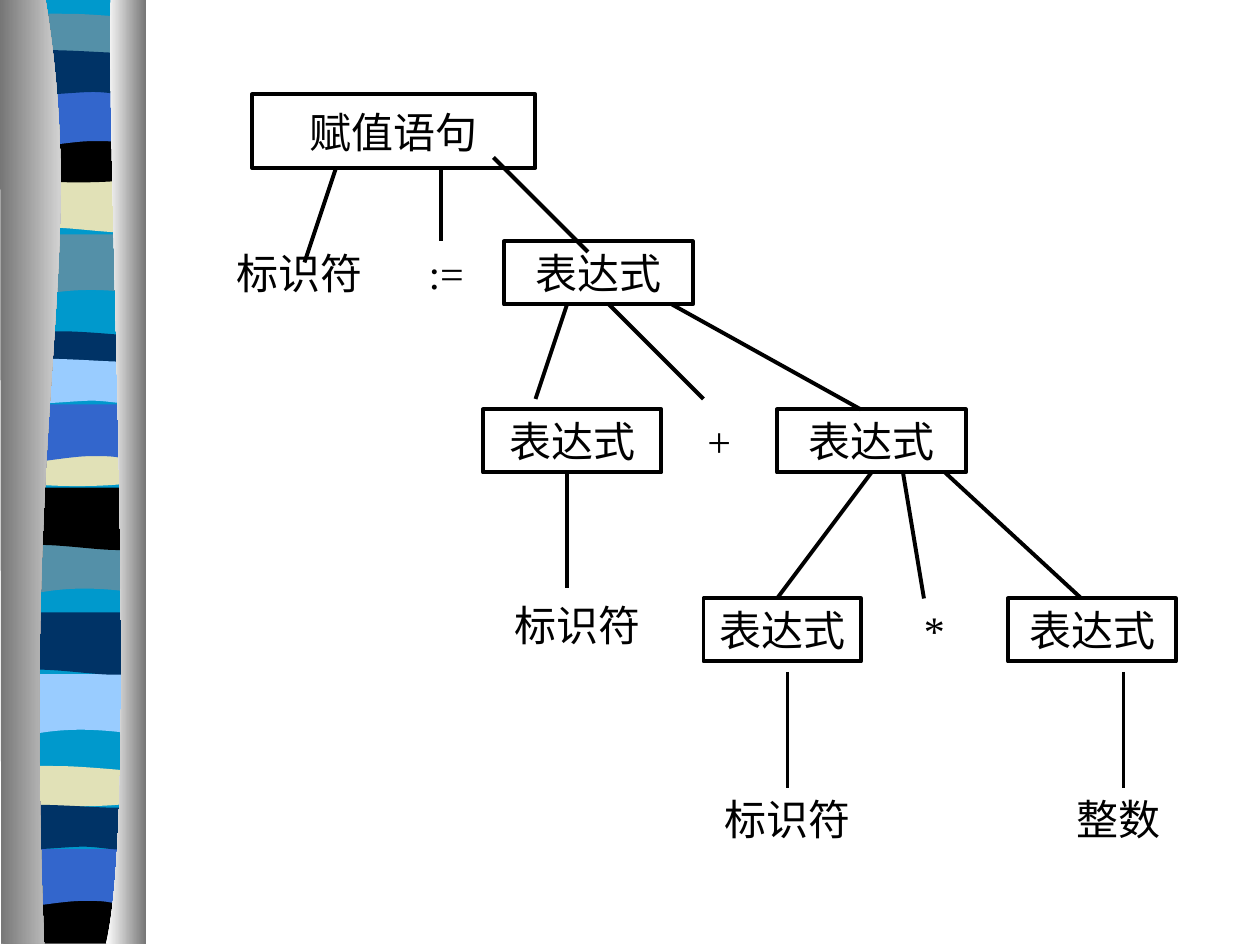
from lxml.etree import SubElement
from pptx import Presentation
from pptx.dml.color import RGBColor
from pptx.enum.shapes import MSO_CONNECTOR, MSO_SHAPE
from pptx.enum.text import MSO_ANCHOR, PP_ALIGN
from pptx.oxml.ns import qn
from pptx.util import Inches, Pt

BLACK = RGBColor(0, 0, 0)
WHITE = RGBColor(255, 255, 255)
GRAY = RGBColor(0x76, 0x76, 0x76)
CYAN = RGBColor(0x00, 0x99, 0xCC)
TEAL = RGBColor(0x54, 0x90, 0xA8)
CREAM = RGBColor(0xE1, 0xE1, 0xB7)
BLUE = RGBColor(0x33, 0x66, 0xCC)
NAVY = RGBColor(0x00, 0x33, 0x66)
SKY = RGBColor(0x99, 0xCC, 0xFF)
FONT = "Times New Roman"
GRID = 12  # tree units to the inch

# Band outlines from their top left corner: 2 numbers a line, 6 a curve
WAVE = [(0.98, 0), (0.98, 0.47), (0.3, 0.38, 0.17, 0.54, 0, 0.47), (0, 0)]
SWAY = [(0.98, 0), (0.98, 0.47), (0.82, 0.55, 0.3, 0.41, 0, 0.47), (0, 0)]
LENS = [(0.98, 0.05), (0.98, 0.3), (0.82, 0.34, 0.16, 0.34, 0, 0.3),
        (0, 0.05), (0.06, 0, 0.21, 0.01, 0.38, 0.01),
        (0.54, 0.01, 0.86, 0.04, 0.98, 0.05)]
SLAB = [(0.98, 0), (0.98, 0.33), (0.82, 0.38, 0.17, 0.38, 0, 0.33),
        (0, 0), (0.61, 0.05, 0.78, 0, 0.98, 0)]
ARCH = [(0.98, 0), (0.98, 0.47), (0.83, 0.41, 0.77, 0.41, 0.61, 0.41),
        (0.44, 0.41, 0.15, 0.47, 0, 0.47), (0, 0)]
CREST = [(0.98, 0.05), (0.98, 0.36), (0.92, 0.41, 0.77, 0.36, 0.61, 0.36),
         (0.44, 0.36, 0.1, 0.41, 0, 0.36), (0, 0.05),
         (0.14, 0, 0.67, 0.05, 0.83, 0.05), (1, 0.05, 0.95, 0.05, 0.98, 0.05)]
FLOOR = [(0.98, 0), (0.98, 0.37), (0, 0.37), (0, 0),
         (0.61, 0.05, 0.78, 0, 0.98, 0)]
BACK = [(0.98, 0), (0.98, 7.48), (0, 7.48), (0, 0)]

# Outline, colour, left, top; back to front
BANDS = [
    (BACK, CYAN, 0.14, -0.01),
    (WAVE, TEAL, 0.13, 1.86), (SWAY, CREAM, 0.17, 1.35),
    (LENS, TEAL, 0.17, 0.1), (SLAB, BLACK, 0.13, 1.08),
    (ARCH, BLUE, 0.13, 0.71), (CREST, NAVY, 0.13, 0.37),
    (WAVE, TEAL, 0.08, 4.23), (SWAY, BLACK, 0.12, 3.87),
    (LENS, NAVY, 0.12, 2.62), (SLAB, CREAM, 0.12, 3.49),
    (ARCH, BLUE, 0.12, 3.21), (CREST, SKY, 0.12, 2.82),
    (WAVE, SKY, 0.05, 5.35), (SWAY, NAVY, 0.1, 4.86),
    (LENS, CREAM, 0.08, 6.07), (FLOOR, BLACK, 0.08, 7.12),
    (ARCH, BLUE, 0.05, 6.74), (CREST, NAVY, 0.05, 6.36),
]
# Shaded edges of the ribbon: outline, left colour, right colour
WALLS = [
    ([(0.36, -0.01), (0.71, 2.16, 0.17, 2.96, 0.35, 7.49), (0.01, 7.49),
      (0, -0.01)], GRAY, WHITE),
    ([(0.88, -0.01), (0.84, 1.25, 1.11, 6.46, 0.84, 7.49), (1.16, 7.49),
      (1.16, 0)], WHITE, GRAY),
]
# Tree nodes in grid units: text, left, top, width, height, border
NODES = [
    ("赋值语句", 24, 9, 27, 7, BLACK),
    ("标识符", 20, 23, 17, 6, WHITE),
    ("表达式", 48, 23, 18, 6, BLACK),
    ("表达式", 46, 39, 17, 6, BLACK),
    ("+", 65, 39, 7, 6, WHITE),
    ("表达式", 67, 57, 15, 6, BLACK),
    ("表达式", 96, 57, 16, 6, BLACK),
    ("标识符", 67, 75, 16, 6, WHITE),
    ("整数", 99, 75, 15, 6, WHITE),
    ("标识符", 47, 56, 16, 7, WHITE),
    (":=", 39, 23, 7, 6, WHITE),
    ("表达式", 74, 39, 18, 6, BLACK),
    ("*", 86, 57, 6, 6, WHITE),
]
# Tree branches in grid units: from x, y to x, y
LINKS = [
    (54, 45, 54, 56), (75, 64, 75, 75), (107, 64, 107, 75),
    (42, 16, 42, 23), (54, 29, 51, 38), (58, 29, 67, 38),
    (64, 29, 82, 39), (83, 45, 74, 57), (86, 45, 88, 57),
    (90, 45, 103, 57), (47, 15, 56, 24), (32, 16, 29, 25),
]


def units(values):
    return [Inches(v / GRID) for v in values]


def add_free(slide, parts, left=0, top=0):
    """Draw an outline, then join the points of each curve into a bezier."""
    dots = [(Inches(left + x), Inches(top + y))
            for part in parts for x, y in zip(part[::2], part[1::2])]
    pen = slide.shapes.build_freeform(*dots[0])
    pen.add_line_segments(dots[1:], close=True)
    shape = pen.convert_to_shape()
    shape.shadow.inherit = False
    shape.line.fill.background()
    lines = iter(list(shape._element.spPr.iter(qn("a:lnTo"))))
    for part in parts[1:]:
        line = next(lines)
        if len(part) == 6:
            line.tag = qn("a:cubicBezTo")
            for _ in range(2):
                extra = next(lines)
                line.append(extra[0])
                extra.getparent().remove(extra)
    return shape


def add_node(slide, text, *place, edge):
    box = slide.shapes.add_shape(MSO_SHAPE.RECTANGLE, *units(place))
    box.shadow.inherit = False
    box.fill.solid()
    box.fill.fore_color.rgb = WHITE
    box.line.color.rgb = edge
    box.line.width = Pt(2.25)
    frame = box.text_frame
    frame.word_wrap = False
    frame.vertical_anchor = MSO_ANCHOR.MIDDLE
    para = frame.paragraphs[0]
    para.alignment = PP_ALIGN.CENTER
    run = para.add_run()
    run.text = text
    run.font.name = FONT
    run.font.size = Pt(24)
    run.font.color.rgb = BLACK


def add_link(slide, ends):
    link = slide.shapes.add_connector(MSO_CONNECTOR.STRAIGHT, *units(ends))
    link.line.color.rgb = BLACK
    link.line.width = Pt(2.25)
    SubElement(link._element.spPr, qn("a:effectLst"))


def main():
    deck = Presentation()
    deck.slide_width, deck.slide_height = Inches(10), Inches(7.5)
    slide = deck.slides.add_slide(deck.slide_layouts[6])

    # Ribbon
    for parts, color, left, top in BANDS:
        band = add_free(slide, parts, left, top)
        band.fill.solid()
        band.fill.fore_color.rgb = color
    for parts, *shades in WALLS:
        fill = add_free(slide, parts).fill
        fill.gradient()
        fill.gradient_angle = 0
        for stop, shade in zip(fill.gradient_stops, shades):
            stop.color.rgb = shade

    # Syntax tree
    for *node, edge in NODES:
        add_node(slide, *node, edge=edge)
    for ends in LINKS:
        add_link(slide, ends)
    deck.save("out.pptx")


if __name__ == "__main__":
    main()
